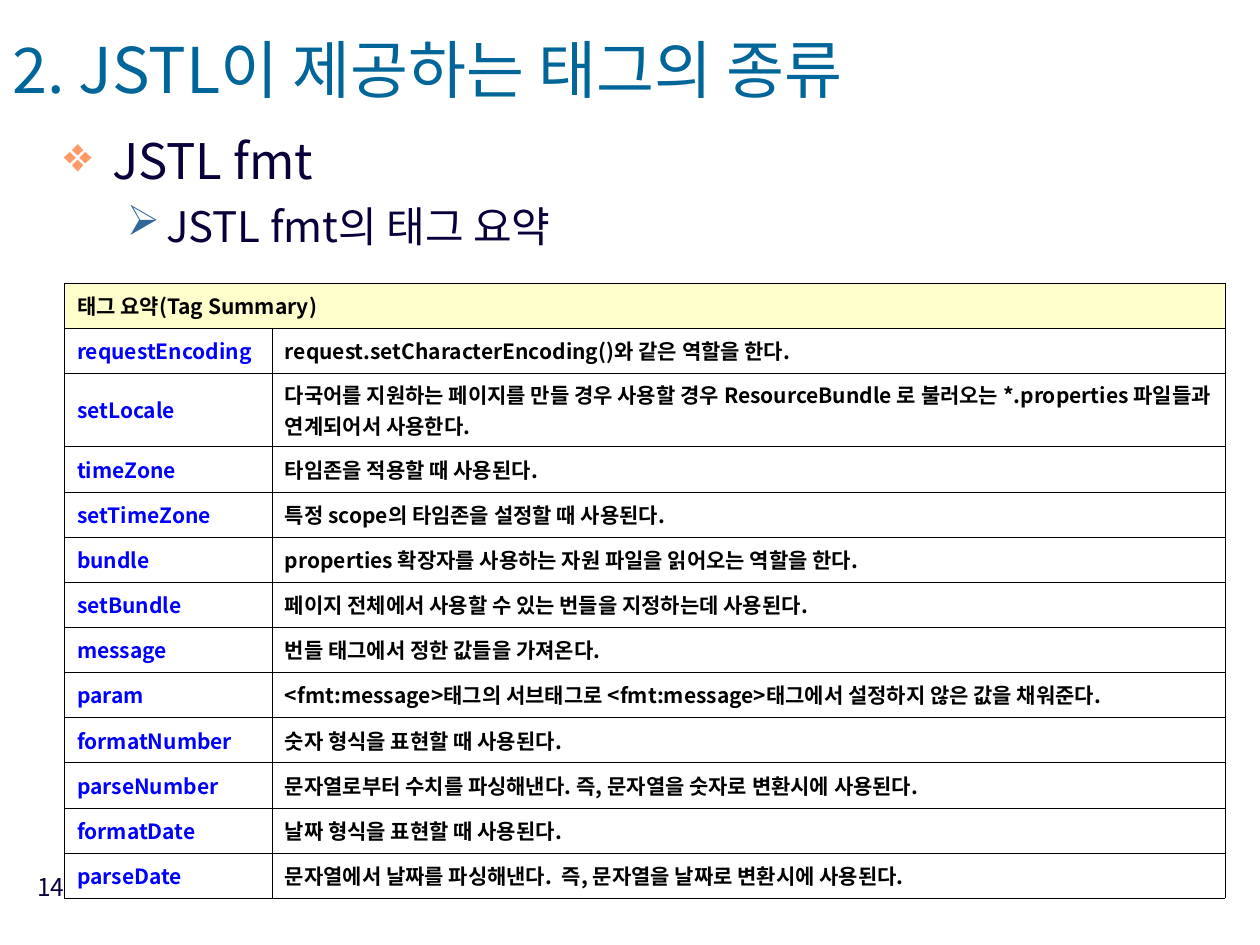
from lxml.etree import SubElement
from pptx import Presentation
from pptx.dml.color import RGBColor
from pptx.enum.text import MSO_ANCHOR, PP_ALIGN
from pptx.oxml.ns import qn
from pptx.util import Cm, Pt

COLORS = {
    "title": "006699",
    "body": "08003A",
    "diamond": "FF9966",
    "arrow": "336699",
    "header": "FFFFCC",
    "white": "FFFFFF",
    "tag": "0000FF",
    "black": "000000",
}

HEADER = "태그 요약(Tag Summary)"
TAGS = [
    ("requestEncoding", "request.setCharacterEncoding()와 같은 역할을 한다."),
    ("setLocale", "다국어를 지원하는 페이지를 만들 경우 사용할 경우 ResourceBundle 로 불러오는 "
                  "*.properties 파일들과 연계되어서 사용한다."),
    ("timeZone", "타임존을 적용할 때 사용된다."),
    ("setTimeZone", "특정 scope의 타임존을 설정할 때 사용된다."),
    ("bundle", "properties 확장자를 사용하는 자원 파일을 읽어오는 역할을 한다."),
    ("setBundle", "페이지 전체에서 사용할 수 있는 번들을 지정하는데 사용된다."),
    ("message", "번들 태그에서 정한 값들을 가져온다."),
    ("param", "<fmt:message>태그의 서브태그로 <fmt:message>태그에서 설정하지 않은 값을 채워준다."),
    ("formatNumber", "숫자 형식을 표현할 때 사용된다."),
    ("parseNumber", "문자열로부터 수치를 파싱해낸다. 즉, 문자열을 숫자로 변환시에 사용된다."),
    ("formatDate", "날짜 형식을 표현할 때 사용된다."),
    ("parseDate", "문자열에서 날짜를 파싱해낸다.  즉, 문자열을 날짜로 변환시에 사용된다."),
]


class SlideBuilder:
    font_name = "Noto Sans CJK KR"
    border_width = Pt(0.06)

    def __init__(self, page):
        self.page = page

    def fill_para(self, para, text, size, color, bold=False):
        para.text = text
        font = para.font
        font.size = Pt(size)
        font.bold = bold
        font.color.rgb = RGBColor.from_string(COLORS[color])
        font.name = self.font_name
        properties = para._p.get_or_add_pPr().find(qn("a:defRPr"))
        SubElement(properties, qn("a:ea"), typeface=self.font_name)

    def text_box(self, left, top, width, height, anchor=MSO_ANCHOR.TOP):
        box = self.page.shapes.add_textbox(Cm(left), Cm(top), Cm(width), Cm(height))
        frame = box.text_frame
        frame.word_wrap = True
        frame.vertical_anchor = anchor
        return frame

    def bullet(self, para, symbol, color, margin, hanging):
        properties = para._p.get_or_add_pPr()
        properties.set("marL", str(Cm(margin)))
        properties.set("indent", str(-Cm(hanging)))
        bullet_color = SubElement(properties, qn("a:buClr"))
        SubElement(bullet_color, qn("a:srgbClr"), val=COLORS[color])
        SubElement(properties, qn("a:buChar"), char=symbol)

    def cell(self, cell, text, color, fill):
        properties = cell._tc.get_or_add_tcPr()
        for side in ("lnL", "lnR", "lnT", "lnB"):
            line = SubElement(properties, qn(f"a:{side}"), w=str(self.border_width))
            solid = SubElement(line, qn("a:solidFill"))
            SubElement(solid, qn("a:srgbClr"), val=COLORS["black"])
        cell.fill.solid()
        cell.fill.fore_color.rgb = RGBColor.from_string(COLORS[fill])
        cell.vertical_anchor = MSO_ANCHOR.MIDDLE
        if text:
            self.fill_para(cell.text_frame.paragraphs[0], text, 12, color, bold=True)

    def table(self, left, top, widths, heights, header, rows):
        frame = self.page.shapes.add_table(
            len(heights), len(widths), Cm(left), Cm(top), Cm(sum(widths)), Cm(sum(heights)))
        table = frame.table
        table.first_row = False
        table.horz_banding = False
        for column, width in zip(table.columns, widths):
            column.width = Cm(width)
        for row, height in zip(table.rows, heights):
            row.height = Cm(height)
        self.cell(table.cell(0, 0), header, "black", "header")
        self.cell(table.cell(0, 1), "", "black", "header")
        table.cell(0, 0).merge(table.cell(0, 1))
        for index, (tag, description) in enumerate(rows, start=1):
            self.cell(table.cell(index, 0), tag, "tag", "white")
            self.cell(table.cell(index, 1), description, "black", "white")


def main():
    deck = Presentation()
    deck.slide_width = Cm(25.4)
    deck.slide_height = Cm(19.05)
    builder = SlideBuilder(deck.slides.add_slide(deck.slide_layouts[6]))

    title = builder.text_box(0, 0.71, 21.69, 1.7, MSO_ANCHOR.MIDDLE).paragraphs[0]
    title.line_spacing = 0.7
    builder.fill_para(title, "2. JSTL이 제공하는 태그의 종류", 36, "title")

    body = builder.text_box(1.04, 2.51, 23.39, 3)
    topic = body.paragraphs[0]
    detail = body.add_paragraph()
    detail.level = 1
    for para, before, symbol, color, margin, hanging, text, size in (
        (topic, 7, "❖", "diamond", 0.97, 0.97, "JSTL fmt", 28),
        (detail, 6, "➢", "arrow", 2.06, 0.79, "JSTL fmt의 태그 요약", 24),
    ):
        para.alignment = PP_ALIGN.JUSTIFY
        para.space_before = Pt(before)
        builder.bullet(para, symbol, color, margin, hanging)
        builder.fill_para(para, text, size, "body")

    heights = [0.91] * (len(TAGS) + 1)
    heights[2] = 1.48
    builder.table(1.3, 5.7, [4.19, 19.2], heights, HEADER, TAGS)

    number = builder.text_box(0.36, 17.45, 1.19, 1.32).paragraphs[0]
    number.alignment = PP_ALIGN.RIGHT
    builder.fill_para(number, "14", 14, "body")

    deck.save("out.pptx")


if __name__ == "__main__":
    main()
